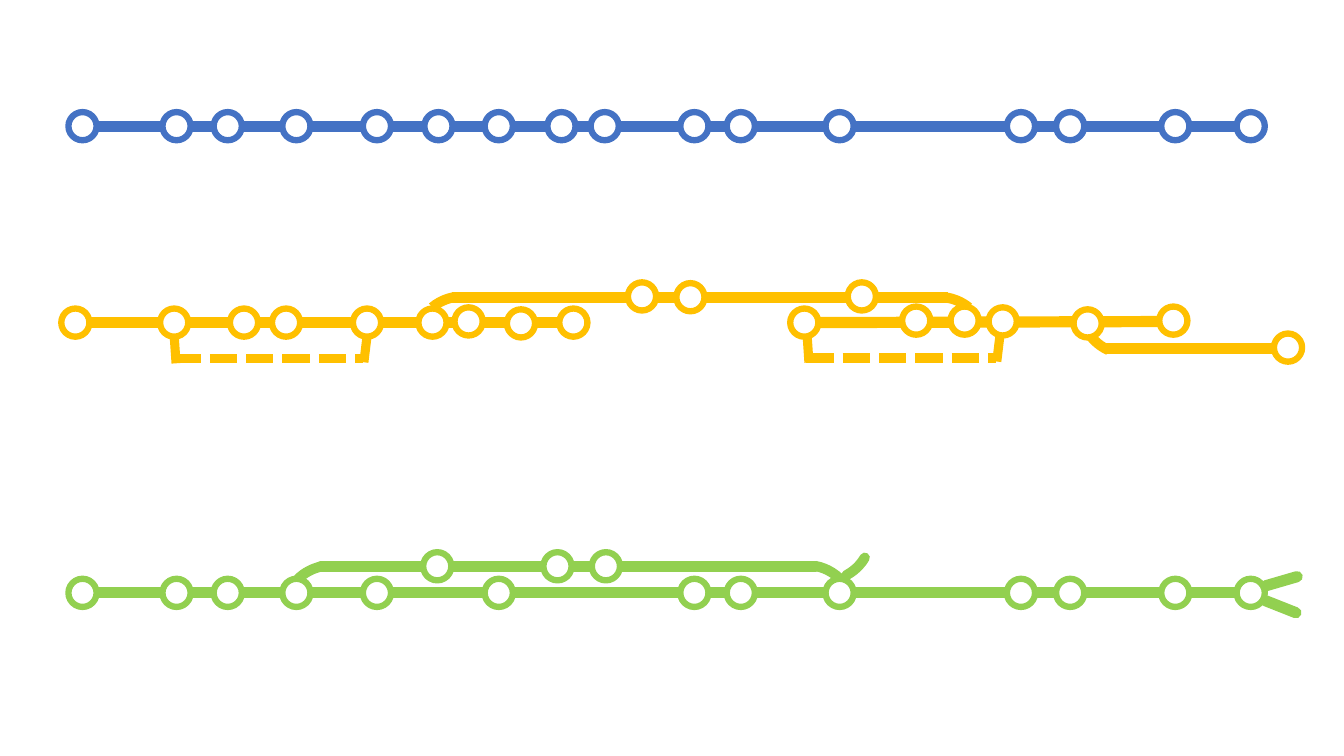
from lxml import etree
from pptx import Presentation
from pptx.dml.color import RGBColor
from pptx.enum.dml import MSO_LINE
from pptx.enum.shapes import MSO_CONNECTOR, MSO_SHAPE
from pptx.oxml.ns import qn
from pptx.util import Cm, Pt

STRAIGHT = MSO_CONNECTOR.STRAIGHT
OVAL, ARC = MSO_SHAPE.OVAL, MSO_SHAPE.ARC
DOTTED = MSO_LINE.SQUARE_DOT
COLORS = {"blue": "4472C4", "yellow": "FFC000", "green": "92D050", "white": "FFFFFF"}

# Station centres and track ends in cm
BLUE_Y, GREEN_Y, GREEN_BRANCH_Y = 3.18, 14.94, 14.27
MAIN_START, MAIN_END = 1.9, 31.75
SHARED_STOPS = [2.08, 4.45, 5.74, 7.47, 9.5, 12.57, 17.5, 18.67, 21.16,
                25.73, 26.97, 29.62, 31.52]
BLUE_ONLY_STOPS = [11.05, 14.15, 15.24]
GREEN_BRANCH_STOPS = [11.02, 14.05, 15.27]
YELLOW_STOPS = [
    (1.9, 8.13), (4.39, 8.13), (6.15, 8.13), (7.21, 8.13), (9.25, 8.13),
    (10.9, 8.13), (11.81, 8.1), (13.13, 8.15), (14.45, 8.13),
    (16.18, 7.47), (17.4, 7.49), (21.72, 7.47),
    (20.27, 8.13), (23.09, 8.08), (24.31, 8.08), (25.27, 8.1),
    (27.41, 8.15), (29.57, 8.08), (32.46, 8.76),
]
YELLOW_TRACKS = [
    (2.01, 8.13, 14.5, 8.13), (11.4, 7.49, 23.88, 7.49),
    (20.17, 8.13, 29.95, 8.1), (27.84, 8.79, 32.66, 8.79),
]


class TransitMap:
    STATION_SIZE = 0.71
    BEND_SIZE = (2.29, 2.11)

    def __init__(self, slide):
        self.shapes = slide.shapes

    def _stroke(self, shape, color, width, rounded=False):
        shape.line.color.rgb = RGBColor.from_string(COLORS[color])
        shape.line.width = Pt(width)
        if rounded:
            shape.line._get_or_add_ln().set("cap", "rnd")

    def track(self, color, x1, y1, x2, y2, width=8, dash=None, rounded=False):
        line = self.shapes.add_connector(STRAIGHT, Cm(x1), Cm(y1), Cm(x2), Cm(y2))
        self._stroke(line, color, width, rounded)
        if dash is not None:
            line.line.dash_style = dash
        etree.SubElement(line._element.spPr, qn("a:effectLst"))

    def bend(self, color, left, top, rotation=0, start=225, end=257.5, rounded=False):
        """Draw a short arc; start and end are clockwise degrees."""
        width, height = self.BEND_SIZE
        arc = self.shapes.add_shape(ARC, Cm(left), Cm(top), Cm(width), Cm(height))
        arc.shadow.inherit = False
        arc.fill.background()
        arc.rotation = rotation
        # Angles are stored in 1/60000 degree, adjustments in 1/100000
        arc.adjustments[0] = start * 0.6
        arc.adjustments[1] = end * 0.6
        self._stroke(arc, color, 7.25, rounded)

    def detour(self, color, x, y):
        """Draw a dotted loop that hangs below two stations."""
        for x1, y1, x2, y2 in [(0, 0, 4.77, 0), (0.02, -0.57, 0.08, 0.31),
                               (4.8, 0.09, 4.88, -0.57)]:
            self.track(color, x + x1, y + y1, x + x2, y + y2, 6.5, DOTTED)

    def station(self, color, x, y):
        size = self.STATION_SIZE
        ring = self.shapes.add_shape(OVAL, Cm(x - size / 2), Cm(y - size / 2),
                                     Cm(size), Cm(size))
        ring.shadow.inherit = False
        ring.fill.solid()
        ring.fill.fore_color.rgb = RGBColor.from_string(COLORS["white"])
        self._stroke(ring, color, 4.5)

    def stations(self, color, xs, y):
        for x in xs:
            self.station(color, x, y)


def draw_blue(transit):
    transit.track("blue", MAIN_START, BLUE_Y, MAIN_END, BLUE_Y)
    transit.stations("blue", sorted(SHARED_STOPS + BLUE_ONLY_STOPS), BLUE_Y)


def draw_yellow(transit):
    for ends in YELLOW_TRACKS:
        transit.track("yellow", *ends)
    for left, top, rotation in [(10.52, 7.47, 0), (22.63, 7.54, 50), (27.15, 6.73, 244)]:
        transit.bend("yellow", left, top, rotation)
    for x, y in [(4.37, 9.04), (20.32, 9.02)]:
        transit.detour("yellow", x, y)
    for x, y in YELLOW_STOPS:
        transit.station("yellow", x, y)


def draw_green(transit):
    transit.track("green", 8.08, GREEN_BRANCH_Y, 20.55, GREEN_BRANCH_Y, rounded=True)
    transit.track("green", MAIN_START, GREEN_Y, MAIN_END, GREEN_Y)
    for left, top, rotation, start, end in [(7.21, 14.25, 0, 220.1, 257.5),
                                            (19.3, 14.3, 50, 225, 261.64),
                                            (19.66, 12.52, 160.5, 225.21, 260.14)]:
        transit.bend("green", left, top, rotation, start, end, rounded=True)
    for ends in [(31.9, 14.76, 32.69, 14.53), (31.9, 15.14, 32.66, 15.44)]:
        transit.track("green", *ends, rounded=True)
    transit.stations("green", SHARED_STOPS, GREEN_Y)
    transit.stations("green", GREEN_BRANCH_STOPS, GREEN_BRANCH_Y)


def main():
    deck = Presentation()
    deck.slide_width, deck.slide_height = Cm(33.87), Cm(19.05)
    transit = TransitMap(deck.slides.add_slide(deck.slide_layouts[6]))
    draw_blue(transit)
    draw_yellow(transit)
    draw_green(transit)
    deck.save("out.pptx")


if __name__ == "__main__":
    main()
